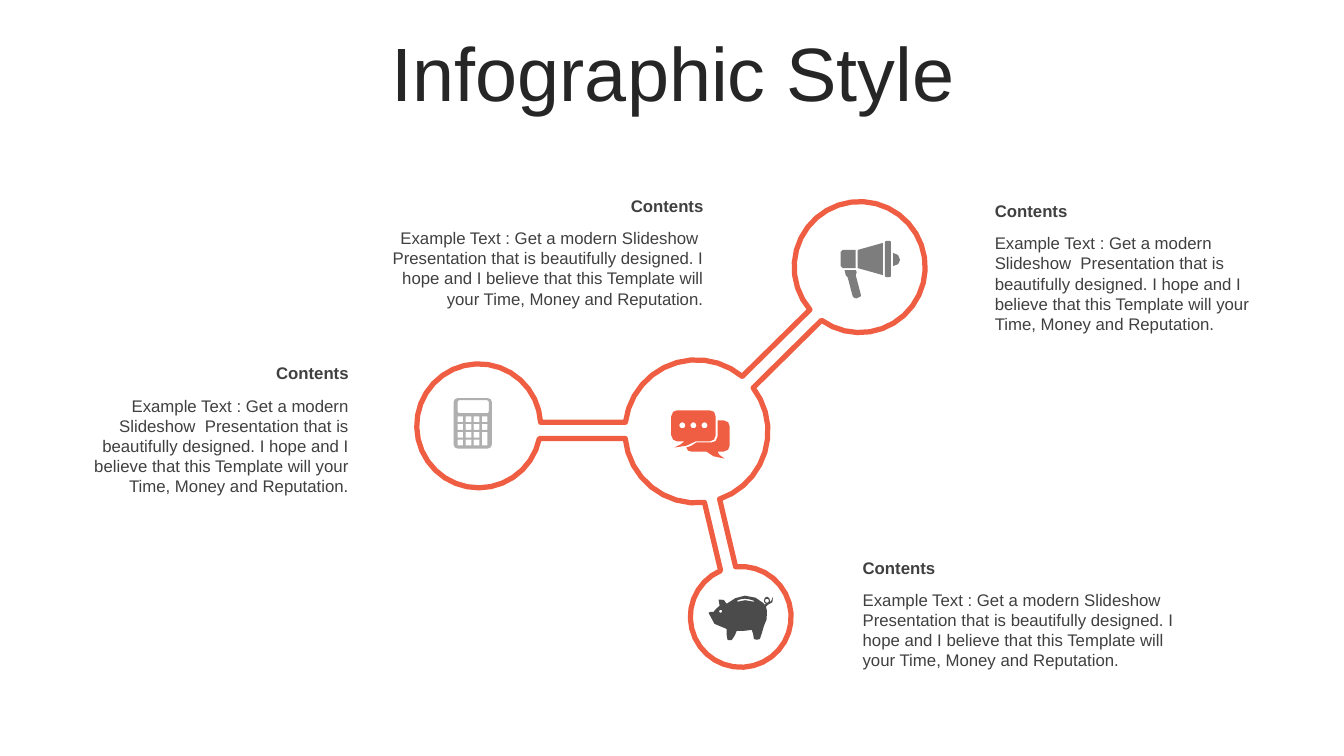
"""Build the "Infographic Style" slide: four linked circles with icons and captions."""
from math import atan2, ceil, cos, pi, sin, tau

from pptx import Presentation
from pptx.dml.color import RGBColor
from pptx.enum import text
from pptx.util import Cm, Pt

TITLE = "Infographic Style"
HEADING = "Contents"
EXAMPLE = ("Example Text : Get a modern Slideshow  Presentation that is beautifully designed. "
           "I hope and I believe that this Template will your Time, Money and Reputation.")
LEFT, RIGHT = text.PP_ALIGN.LEFT, text.PP_ALIGN.RIGHT

CAPTIONS = [
    (24.77, 4.93, 7.04, 5, LEFT),
    (9.37, 4.8, 8.66, 4, RIGHT),
    (1.83, 9.02, 7.26, 5, RIGHT),
    (21.44, 13.92, 8.48, 4, LEFT),
]

UNIT = Cm(2.54) / 100
ORANGE = "EF5E42"
HUB = (691, 428, 71)
ADVERTISING = (853, 265, 65)
SAVINGS = (735, 612, 50)
ACCOUNTS = (475, 422.5, 61.5)
NETWORK = [
    (ADVERTISING, (804, 307), (815, 318)),
    (HUB, (747, 385), (714, 495)),
    (SAVINGS, (730, 563), (715, 566)),
    (HUB, (699, 498), (621, 435)),
    (ACCOUNTS, (535, 435), (536, 419)),
    (HUB, (621, 419), (736, 374)),
]

SPEECH_BUBBLES = [
    "712 417, 718 417, 722 417 724 420 724 423, 724 442, 724 445 722 448 718 448, 712 448, "
    "713 450 713 452 719 455, 708 453 706 453 701 448, 686 448, 684 448 681 447 681 444, "
    "684 443 688 442 691 439, 706 439, 709 439 712 437 712 433",
    "672 407, 704 407, 708 407 710 409 710 413, 710 432, 710 435 708 438 704 438, 690 438, "
    "683 442 680 443 669 444, 675 441 676 441 679 438, 672 438, 669 438 666 435 666 432, "
    "666 413, 666 409 669 407 672 407",
]
MEGAPHONE = [
    "849 268, 850 270, 849 273, 854 292, 855 293 854 295 852 295, 850 296, "
    "848 296 847 296 846 294, 841 275, 839 273, 838 268",
    "886 251, 890 251 893 254 893 258, 893 261 890 264 886 264",
    "836 248, 849 248, 849 266, 836 266, 834 264, 834 250",
    "876 241, 876 273, 851 266, 851 248",
    "879 239, 883 239, 884 240, 884 274, 883 275, 879 275, 878 274, 878 240",
]
PIGGY_BANK = [
    "739 594, 736 594 733 595 731 596, 732 597, 736 595 742 595 748 597, 748 596, "
    "745 595 742 594 739 594",
    "739 591, 746 591 754 594 757 598, 759 600, 760 599, "
    "758 598 758 597 758 596, 758 594 759 592 761 592, 763 592 764 594 764 596, "
    "764 597, 764 597 766 597 767 592, 768 597 766 599 762 600, "
    "760 602, 761 606, 762 612 760 618 758 621, 757 626 755 630 754 634, "
    "754 635 748 635 748 634, 748 631 747 628 746 625, 741 626 735 626 731 626, "
    "730 629 728 633 726 635, 722 635, 721 635 721 628 721 624, 715 622 701 618 703 608, "
    "703 607 706 607 708 607, 710 605 711 603 714 601, 714 599 713 596 713 595, "
    "718 593 719 596 721 599, 725 594 734 592 739 591",
]


def color(hex_code):
    return RGBColor.from_string(hex_code)


def arc(x, y, radius, steps, start=0, sweep=tau):
    angles = [start + sweep * i / steps for i in range(steps + 1)]
    return [(x + radius * cos(a), y + radius * sin(a)) for a in angles]


def dot(x, y, radius):
    return arc(x, y, radius, 10)[:-1]


def arc_between(circle, start, end):
    x, y, radius = circle
    first, last = (atan2(py - y, px - x) for px, py in (start, end))
    sweep = (last - first) % tau
    return arc(x, y, radius, ceil(sweep * 5), first, sweep)


def box(left, top, width, height):
    right, bottom = left + width, top + height
    return [(right, bottom), (left, bottom), (left, top), (right, top)]


def rounded(left, top, width, height, radius):
    centers = box(left + radius, top + radius, width - 2 * radius, height - 2 * radius)
    return [point for i, (x, y) in enumerate(centers)
            for point in arc(x, y, radius, 2, i * pi / 2, pi / 2)]


def outline(steps):
    points = []
    for step in steps.split(","):
        numbers = [float(n) for n in step.split()]
        if len(numbers) == 2:
            points.append(tuple(numbers))
            continue
        ends = [points[-1], *zip(numbers[::2], numbers[1::2])]
        for t in (0.5, 1):
            weights = ((1 - t) ** 3, 3 * t * (1 - t) ** 2, 3 * t * t * (1 - t), t ** 3)
            points.append(tuple(sum(w * end[axis] for w, end in zip(weights, ends))
                                for axis in (0, 1)))
    return points


def draw(shapes, contours, fill=None, line=None):
    scaled = [[(x * UNIT, y * UNIT) for x, y in contour] for contour in contours]
    builder = shapes.build_freeform(*scaled[0][0])
    for i, contour in enumerate(scaled):
        if i:
            builder.move_to(*contour[0])
        builder.add_line_segments(contour[1:], close=True)
    drawing = builder.convert_to_shape()
    drawing.shadow.inherit = False
    if fill:
        drawing.fill.solid()
        drawing.fill.fore_color.rgb = color(fill)
    else:
        drawing.fill.background()
    if line:
        drawing.line.color.rgb = color(line)
        drawing.line.width = Pt(3.75)
    else:
        drawing.line.fill.background()


def style(paragraph, size, hex_code, align, bold=False):
    paragraph.alignment = align
    for run in paragraph.runs:
        run.font.name = "Arial"
        run.font.size = Pt(size)
        run.font.bold = bold
        run.font.color.rgb = color(hex_code)


def caption_part(shapes, wording, left, top, width, height, align, bold):
    frame = shapes.add_textbox(Cm(left), Cm(top), Cm(width), Cm(height)).text_frame
    frame.word_wrap = True
    frame.margin_left = frame.margin_right = Cm(0.3)
    frame.margin_top = frame.margin_bottom = Cm(0.13)
    frame.text = wording
    style(frame.paragraphs[0], 12, "404040", align, bold)


def calculator():
    keys = [(column, row) for column in range(4) for row in range(4) if (column, row) != (3, 3)]
    return [rounded(450, 395, 38, 50, 4), rounded(454, 397, 31, 13, 2)] + [
        box(454 + 8 * column, 413 + 7.7 * row, 5.6, 13.5 if (column, row) == (3, 2) else 5.8)
        for column, row in keys]


def main():
    deck = Presentation()
    deck.slide_width, deck.slide_height = Cm(33.87), Cm(19.05)
    shapes = deck.slides.add_slide(deck.slide_layouts[5]).shapes

    title = shapes.title
    title.left, title.top, title.width, title.height = Cm(0.89), Cm(0.94), Cm(32.16), Cm(2)
    title.text_frame.text = TITLE
    title.text_frame.auto_size = text.MSO_AUTO_SIZE.NONE
    title.text_frame.vertical_anchor = text.MSO_ANCHOR.MIDDLE
    title.text_frame.paragraphs[0].line_spacing = 0.9
    style(title.text_frame.paragraphs[0], 54, "262626", text.PP_ALIGN.CENTER)

    draw(shapes, [[point for link in NETWORK for point in arc_between(*link)]], line=ORANGE)

    for left, top, width, lines, align in CAPTIONS:
        caption_part(shapes, EXAMPLE, left, top + 0.81, width, 0.27 + 0.51 * lines, align, False)
        caption_part(shapes, HEADING, left, top, width, 0.76, align, True)

    icons = [
        ("AFAFAF", calculator(), []),
        (ORANGE, [dot(677 + 11 * i, 422, 3) for i in range(3)], SPEECH_BUBBLES),
        ("7D7D7D", [], MEGAPHONE),
        ("4B4B4B", [dot(715, 606.5, 1.5), dot(761, 596, 2)], PIGGY_BANK),
    ]
    for fill, details, outlines in icons:
        draw(shapes, details + [outline(steps) for steps in outlines], fill=fill)

    deck.save("out.pptx")


if __name__ == "__main__":
    main()
